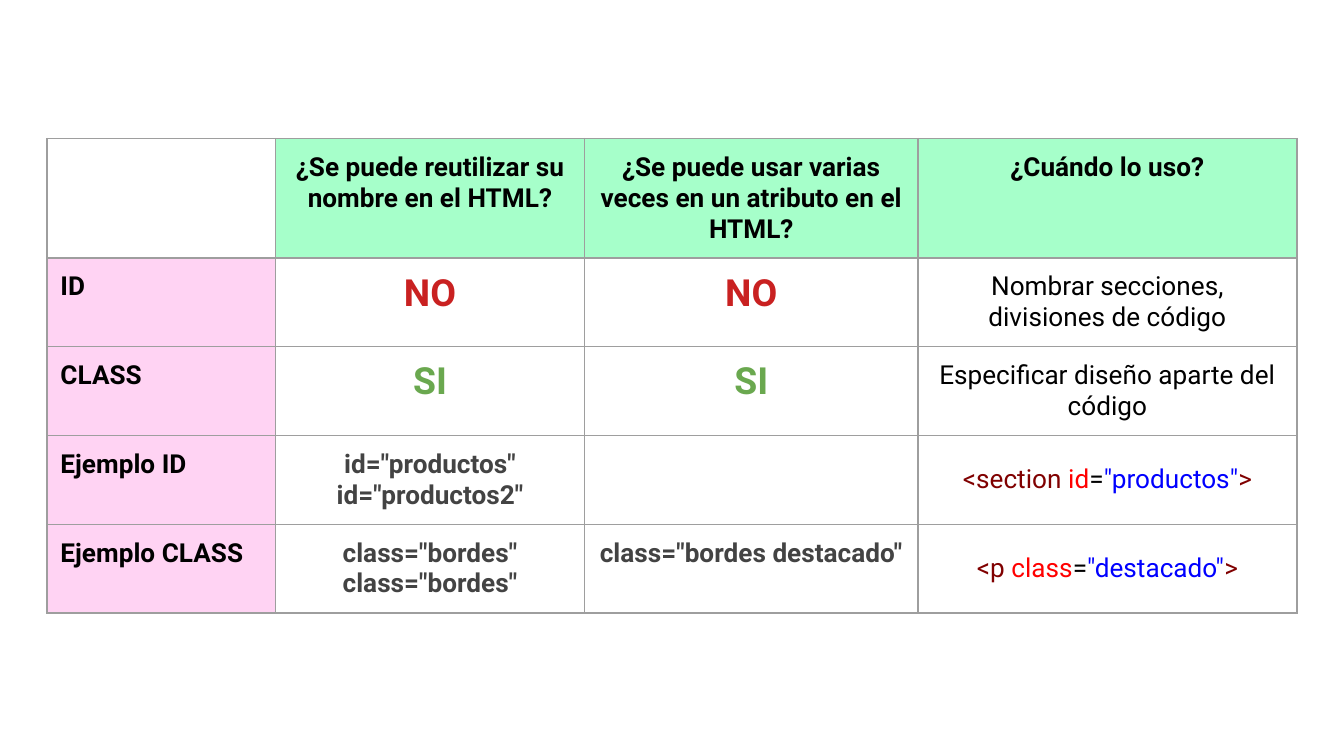
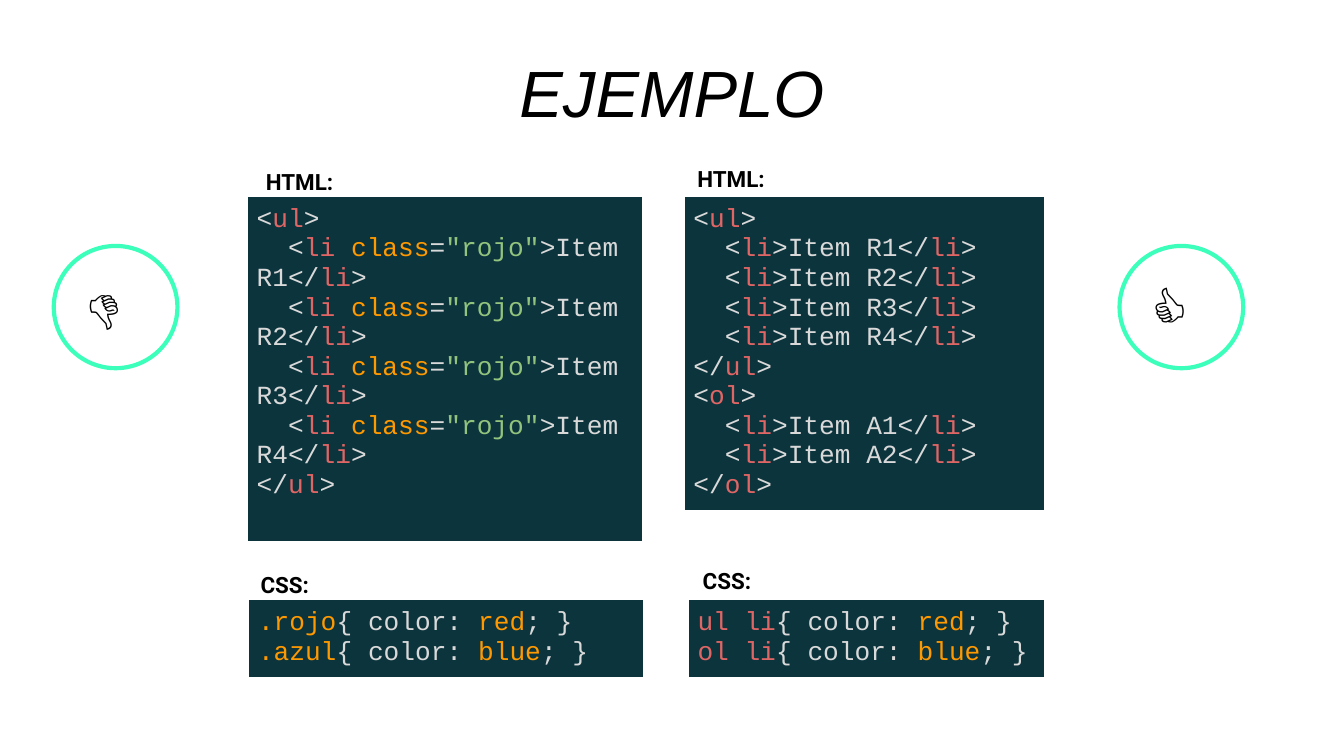
from dataclasses import dataclass
from typing import NamedTuple

from lxml import etree
from pptx import Presentation
from pptx.dml.color import RGBColor
from pptx.enum import shapes, text
from pptx.oxml import ns
from pptx.util import Inches, Pt

BLACK, WHITE, BORDER = "000000", "FFFFFF", "9E9E9E"
MINT, PINK, RING = "A6FFCA", "FFD3F3", "3DFFBC"
NO_RED, YES_GREEN, DARK_GREY = "C92121", "6AA84F", "434343"
MAROON, ATTRIBUTE, VALUE = "800000", "FF0000", "0000FF"
CODE_BG, PLAIN, TAG, ORANGE, STRING = "0C343D", "D9D9D9", "E06666", "FF9900", "93C47D"
CENTER, LEFT = text.PP_ALIGN.CENTER, text.PP_ALIGN.LEFT


class Span(NamedTuple):
    text: str
    colour: str = BLACK


Line = list[Span]


@dataclass
class Style:
    font: str = "Roboto"
    size: float = 14
    bold: bool = False
    italic: bool = False
    align: text.PP_ALIGN = LEFT
    spacing: float = 1.0


@dataclass
class Cell:
    lines: list[Line]
    style: Style
    fill: str = ""


class Label(NamedTuple):
    text: str
    left: float
    top: float


class CodePanel(NamedTuple):
    left: float
    top: float
    width: float
    height: float
    lines: list[Line]


class Badge(NamedTuple):
    symbol: str
    left: float


BOLD = Style(bold=True)
BOLD_CENTER = Style(bold=True, align=CENTER)
VERDICT = Style(size=20, bold=True, align=CENTER)
USAGE = Style(align=CENTER)
SNIPPET = Style(align=CENTER, spacing=1.5)
CODE = Style(font="Courier New")
TITLE = Style(font="Arial", size=35, italic=True, align=CENTER, spacing=1.15)
LABEL = Style(size=12, bold=True, spacing=1.15)
SYMBOL = Style(font="Arial", size=30)


def rgb(colour: str) -> RGBColor:
    return RGBColor.from_string(colour)


def write(tf, lines: list[Line], style: Style) -> None:
    for i, line in enumerate(lines):
        p = tf.paragraphs[0] if i == 0 else tf.add_paragraph()
        p.alignment = style.align
        p.line_spacing = style.spacing
        p.space_before = Pt(0)
        p.font.name, p.font.size = style.font, Pt(style.size)
        p.font.bold, p.font.italic = style.bold, style.italic
        for span in line:
            r = p.add_run()
            r.text = span.text
            r.font.color.rgb = rgb(span.colour)


def set_margins(box, margin: float) -> None:
    box.margin_left = box.margin_right = Inches(margin)
    box.margin_top = box.margin_bottom = Inches(margin)


def set_borders(cell, colour: str) -> None:
    tc_pr = cell._tc.get_or_add_tcPr()
    for side in ("lnL", "lnR", "lnT", "lnB"):
        ln = etree.SubElement(tc_pr, ns.qn(f"a:{side}"), w=str(Pt(0.75)))
        fill = etree.SubElement(ln, ns.qn("a:solidFill"))
        etree.SubElement(fill, ns.qn("a:srgbClr"), val=colour)


def add_grid(slide, left: float, top: float, widths: list[float], heights: list[float],
             rows: list[list[Cell]], border: str, margin: float) -> None:
    table = slide.shapes.add_table(
        len(heights), len(widths), Inches(left), Inches(top),
        Inches(sum(widths)), Inches(sum(heights))).table
    table.first_row = table.horz_banding = False
    for column, width in zip(table.columns, widths):
        column.width = Inches(width)
    for table_row, height, row in zip(table.rows, heights, rows):
        table_row.height = Inches(height)
        for cell, content in zip(table_row.cells, row):
            set_borders(cell, border)
            set_margins(cell, margin)
            if content.fill:
                cell.fill.solid()
                cell.fill.fore_color.rgb = rgb(content.fill)
            else:
                cell.fill.background()
            write(cell.text_frame, content.lines, content.style)


def add_label(slide, label: Label) -> None:
    sp = slide.shapes.add_textbox(
        Inches(label.left), Inches(label.top), Inches(3.28), Inches(0.36))
    sp.text_frame.word_wrap = True
    set_margins(sp.text_frame, 0.1)
    write(sp.text_frame, [[Span(label.text)]], LABEL)


def add_code(slide, panel: CodePanel) -> None:
    add_grid(slide, panel.left, panel.top, [panel.width], [panel.height, 0.36],
             [[Cell(panel.lines, CODE, CODE_BG)], [EMPTY]], WHITE, 0.07)


def add_badge(slide, badge: Badge) -> None:
    sp = slide.shapes.add_shape(
        shapes.MSO_SHAPE.OVAL, Inches(badge.left), Inches(1.83), Inches(0.92), Inches(0.91))
    sp.shadow.inherit = False
    sp.fill.solid()
    sp.fill.fore_color.rgb = rgb(WHITE)
    sp.line.color.rgb = rgb(RING)
    sp.line.width = Pt(2.25)
    tf = sp.text_frame
    tf.word_wrap = True
    tf.vertical_anchor = text.MSO_ANCHOR.MIDDLE
    set_margins(tf, 0.1)
    write(tf, [[Span(badge.symbol)]], SYMBOL)


def header(title: str) -> Cell:
    return Cell([[Span(title)]], BOLD_CENTER, MINT)


def row_name(name: str) -> Cell:
    return Cell([[Span(name)]], BOLD, PINK)


def verdict(answer: str) -> Cell:
    return Cell([[Span(answer, NO_RED if answer == "NO" else YES_GREEN)]], VERDICT)


def usage(description: str) -> Cell:
    return Cell([[Span(description)]], USAGE)


def attributes(*values: str) -> Cell:
    return Cell([[Span(value, DARK_GREY)] for value in values], BOLD_CENTER)


def snippet(element: str, attribute: str, value: str) -> Cell:
    return Cell([[Span(f"<{element} ", MAROON), Span(attribute, ATTRIBUTE), Span("="),
                  Span(f'"{value}"', VALUE), Span(">", MAROON)]], SNIPPET)


def tag(name: str, opening: str = "<") -> Line:
    return [Span(opening, PLAIN), Span(name, TAG), Span(">", PLAIN)]


def item(content: str, css_class: str = "") -> Line:
    start = [Span("  <", PLAIN), Span("li", TAG)]
    if css_class:
        start += [Span(" ", TAG), Span("class", ORANGE), Span("=", PLAIN),
                  Span(f'"{css_class}"', STRING)]
    return start + tag("li", f">{content}</")


def html_list(name: str, items: list[str], css_class: str = "") -> list[Line]:
    return [tag(name), *(item(i, css_class) for i in items), tag(name, "</")]


def rule(selector: str, selector_colour: str, value: str) -> Line:
    return [Span(selector, selector_colour), Span("{ color: ", PLAIN),
            Span(value, ORANGE), Span("; }", PLAIN)]


EMPTY = Cell([], BOLD)
COMPARISON = [
    [EMPTY, header("¿Se puede reutilizar su nombre en el HTML?"),
     header("¿Se puede usar varias veces en un atributo en el HTML?"),
     header("¿Cuándo lo uso?")],
    [row_name("ID"), verdict("NO"), verdict("NO"),
     usage("Nombrar secciones, divisiones de código")],
    [row_name("CLASS"), verdict("SI"), verdict("SI"),
     usage("Especificar diseño aparte del código")],
    [row_name("Ejemplo ID"), attributes('id="productos"', 'id="productos2"'), EMPTY,
     snippet("section", "id", "productos")],
    [row_name("Ejemplo CLASS"), attributes('class="bordes"', 'class="bordes"'),
     attributes('class="bordes destacado"'), snippet("p", "class", "destacado")],
]

R_ITEMS = [f"Item R{n}" for n in range(1, 5)]
A_ITEMS = [f"Item A{n}" for n in range(1, 3)]
PANELS = [
    CodePanel(1.84, 1.46, 2.94, 2.57, html_list("ul", R_ITEMS, "rojo")),
    CodePanel(1.85, 4.46, 2.94, 0.57,
              [rule(".rojo", ORANGE, "red"), rule(".azul", ORANGE, "blue")]),
    CodePanel(5.09, 1.46, 2.68, 2.34, html_list("ul", R_ITEMS) + html_list("ol", A_ITEMS)),
    CodePanel(5.12, 4.46, 2.65, 0.57,
              [rule("ul li", TAG, "red"), rule("ol li", TAG, "blue")]),
]
LABELS = [Label("HTML:", 1.88, 1.12), Label("CSS:", 1.84, 4.12),
          Label("HTML:", 5.09, 1.1), Label("CSS:", 5.13, 4.09)]
BADGES = [Badge("👎", 0.4), Badge("👍", 8.33)]


def build_comparison(prs) -> None:
    slide = prs.slides.add_slide(prs.slide_layouts[6])
    add_grid(slide, 0.35, 1.03, [1.7, 2.3, 2.48, 2.82], [0.87] + [0.65] * 4,
             COMPARISON, BORDER, 0.1)


def build_example(prs) -> None:
    slide = prs.slides.add_slide(prs.slide_layouts[5])
    title = slide.shapes.title
    title.left, title.top = Inches(1.59), Inches(0.2)
    title.width, title.height = Inches(6.82), Inches(0.76)
    tf = title.text_frame
    tf.word_wrap = True
    tf.auto_size = text.MSO_AUTO_SIZE.NONE
    tf.vertical_anchor = text.MSO_ANCHOR.TOP
    set_margins(tf, 0.1)
    write(tf, [[Span("EJEMPLO")]], TITLE)
    for panel in PANELS:
        add_code(slide, panel)
    for label in LABELS:
        add_label(slide, label)
    for badge in BADGES:
        add_badge(slide, badge)


def main() -> None:
    prs = Presentation()
    prs.slide_width = Inches(10)
    prs.slide_height = prs.slide_width * 9 // 16
    build_comparison(prs)
    build_example(prs)
    prs.save("out.pptx")


if __name__ == "__main__":
    main()
